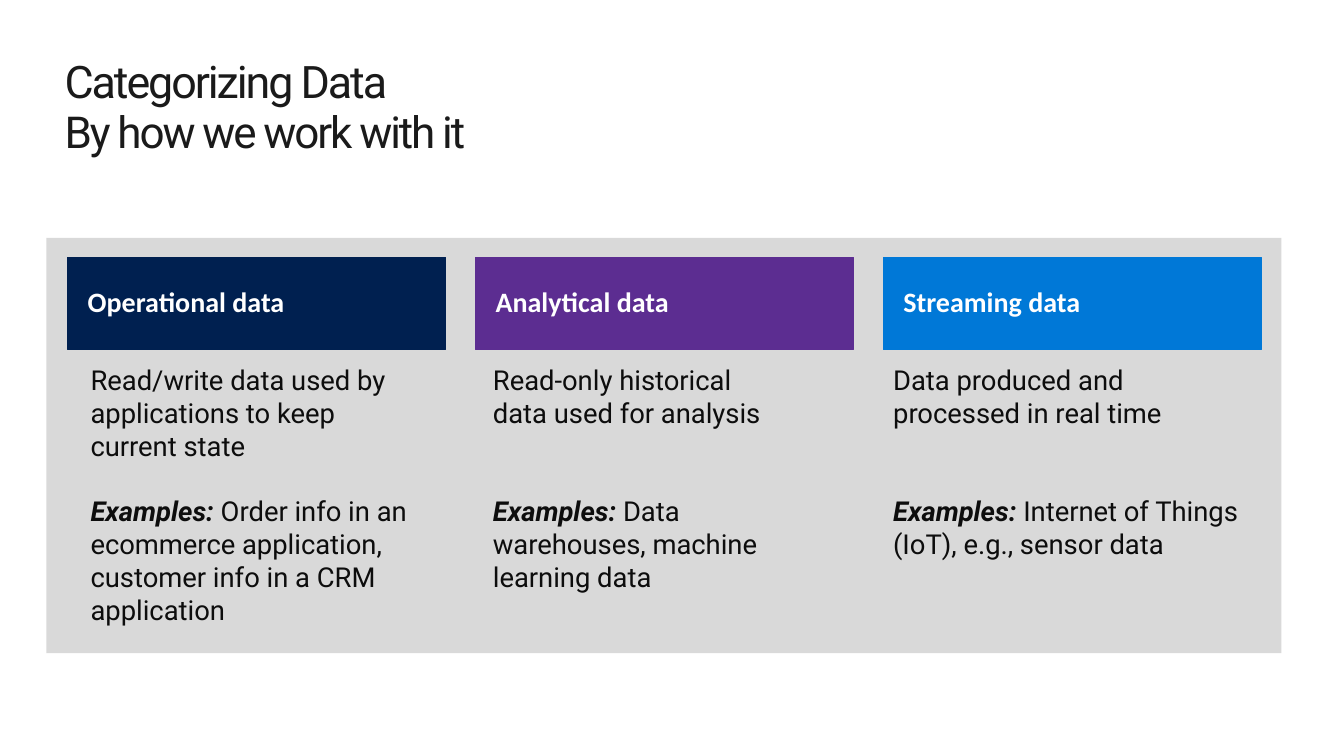
from lxml import etree
from pptx import Presentation
from pptx.dml.color import RGBColor
from pptx.enum import shapes, text
from pptx.oxml.ns import qn
from pptx.util import Inches, Pt

INK = RGBColor(0x1A, 0x1A, 0x1A)
BODY = RGBColor(0x0D, 0x0D, 0x0D)
WHITE = RGBColor(0xFF, 0xFF, 0xFF)
GREY = RGBColor(0xD9, 0xD9, 0xD9)
NAVY = RGBColor(0x00, 0x20, 0x50)
PURPLE = RGBColor(0x5C, 0x2D, 0x91)
BLUE = RGBColor(0x00, 0x78, 0xD7)

LEFT, STEP, WIDTH = 0.67, 4.045, 3.75
LINE = 23.4  # height of one body line in points

# heading, colour, body left, body width, body height, description, gap in lines, examples
COLUMNS = [
    ("Operational data", NAVY, 0.8, 3.34, 2.69,
     "Read/write data used by applications to keep current state", 1,
     "Order info in an ecommerce application, customer info in a CRM application"),
    ("Analytical data", PURPLE, 4.79, 3.08, 2.36,
     "Read-only historical data used for analysis", 2,
     "Data warehouses, machine learning data"),
    ("Streaming data", BLUE, 8.76, 3.75, 2.36,
     "Data produced and processed in real time", 2,
     "Internet of Things (IoT), e.g., sensor data"),
]


def style(font, name, size, color):
    font.name = name
    font.size = Pt(size)
    font.color.rgb = color


def add_title(slide):
    title = slide.shapes.title
    title.left, title.top = Inches(0.64), Inches(0.57)
    title.width, title.height = Inches(12.06), Inches(0.58)
    frame = title.text_frame
    frame.margin_left = frame.margin_right = 0
    frame.margin_top = frame.margin_bottom = 0
    frame.vertical_anchor = text.MSO_ANCHOR.TOP
    frame.auto_size = text.MSO_AUTO_SIZE.NONE
    frame.text = "Categorizing Data\vBy how we work with it"
    para = frame.paragraphs[0]
    para.alignment = text.PP_ALIGN.LEFT
    para.line_spacing = 0.95
    for run, size in zip(para.runs, (32, 31.4)):
        style(run.font, "Roboto", size, INK)
        run._r.get_or_add_rPr().set("spc", "-150")
    # The line break needs its own size, or it takes the larger default
    etree.SubElement(para._p.find(qn("a:br")), qn("a:rPr"), sz="3200")


def add_box(parent, left, top, width, height, color):
    box = parent.add_shape(shapes.MSO_SHAPE.RECTANGLE, Inches(left), Inches(top),
                           Inches(width), Inches(height))
    box.shadow.inherit = False
    box.fill.solid()
    box.fill.fore_color.rgb = color
    box.line.fill.background()
    return box


def add_head(parent, left, label, color):
    head = add_box(parent, left, 2.55, WIDTH, 0.92, color)
    head.line.color.rgb = color
    head.line.width = Pt(0.75)
    frame = head.text_frame
    frame.margin_left = Inches(0.2)
    frame.vertical_anchor = text.MSO_ANCHOR.MIDDLE
    frame.text = label
    para = frame.paragraphs[0]
    para.alignment = text.PP_ALIGN.LEFT
    para.line_spacing = 0.9
    style(para.font, "Calibri", 20, WHITE)
    para.font.bold = True


def add_body(parent, left, width, height, about, gap, samples):
    box = parent.add_textbox(Inches(left), Inches(3.55), Inches(width), Inches(height))
    frame = box.text_frame
    frame.word_wrap = True
    frame.text = about
    para = frame.add_paragraph()
    para.space_before = Pt(gap * LINE)
    lead = para.add_run()
    lead.text = "Examples: "
    lead.font.bold = lead.font.italic = True
    para.add_run().text = samples
    for para in frame.paragraphs:
        style(para.font, "Roboto", 19.6, BODY)


def main():
    deck = Presentation()
    deck.slide_width, deck.slide_height = Inches(13.33), Inches(7.5)
    slide = deck.slides.add_slide(deck.slide_layouts[5])
    add_title(slide)
    add_box(slide.shapes, 0.46, 2.36, 12.25, 4.12, GREY)
    for i, (label, color, *body) in enumerate(COLUMNS):
        group = slide.shapes.add_group_shape().shapes
        add_head(group, LEFT + i * STEP, label, color)
        add_body(group, *body)
    deck.save("out.pptx")


if __name__ == "__main__":
    main()
